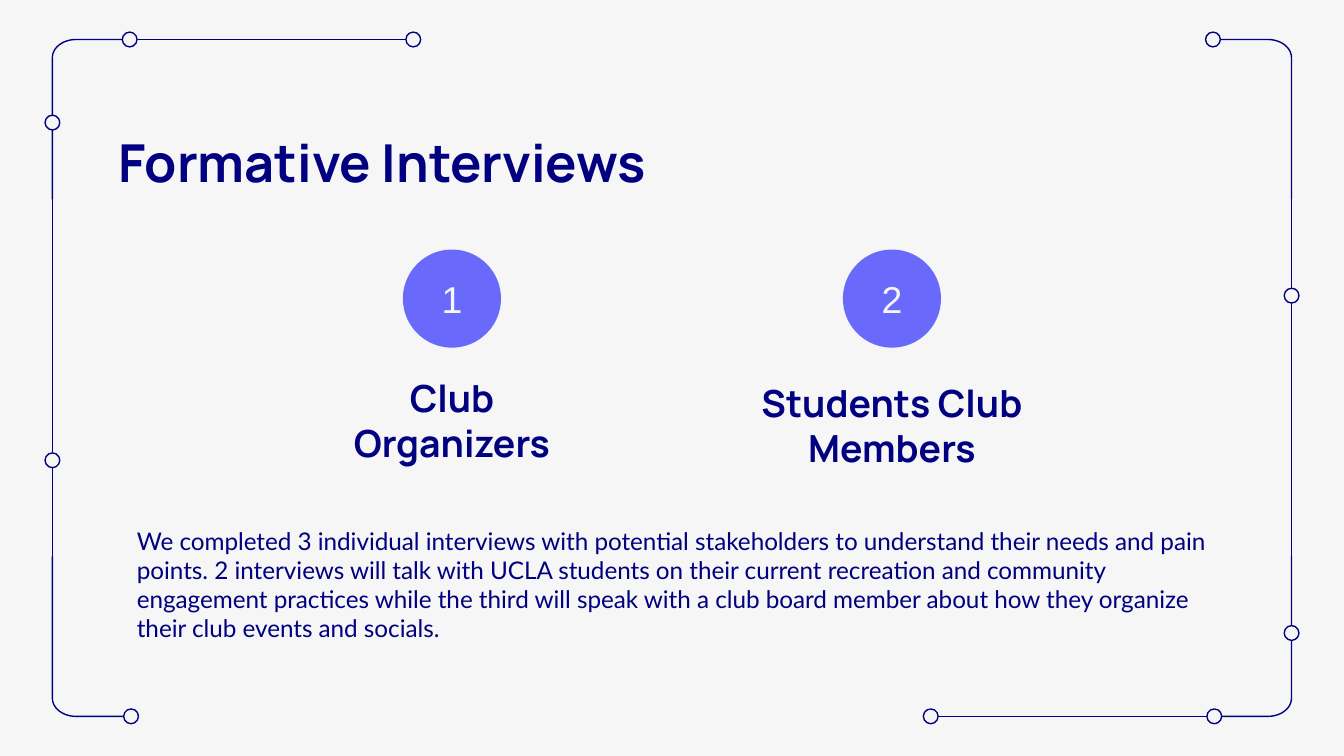
import math

from lxml import etree
from pptx import Presentation
from pptx.dml.color import RGBColor
from pptx.enum.shapes import MSO_CONNECTOR, MSO_SHAPE
from pptx.enum.text import MSO_ANCHOR, MSO_AUTO_SIZE, PP_ALIGN
from pptx.oxml.ns import qn
from pptx.util import Inches, Pt

STRAIGHT = MSO_CONNECTOR.STRAIGHT
OVAL = MSO_SHAPE.OVAL
LEFT, CENTER = PP_ALIGN.LEFT, PP_ALIGN.CENTER
TOP, MIDDLE, BOTTOM = MSO_ANCHOR.TOP, MSO_ANCHOR.MIDDLE, MSO_ANCHOR.BOTTOM
NO_FIT = MSO_AUTO_SIZE.NONE

COLORS = {"paper": "F6F6F6", "navy": "000080", "violet": "6969FC"}
CELL = Inches(0.1)
COLUMNS, ROWS = 100, 56.25
FRAME_LEFT, FRAME_RIGHT = 3.9, 96.1
FRAME_TOP, FRAME_BOTTOM = 2.94, 53.3
NODE = 1.1


def cells(*values):
    return [round(value * CELL) for value in values]


def color(name):
    return RGBColor.from_string(COLORS[name])


def write(frame, text, *, font, size, ink="navy", bold=False, align=LEFT,
          anchor=TOP, inset=1):
    frame.word_wrap = True
    frame.auto_size = NO_FIT
    frame.vertical_anchor = anchor
    margin = cells(inset)[0]
    frame.margin_left = frame.margin_right = margin
    frame.margin_top = frame.margin_bottom = margin
    frame.text = text
    for para in frame.paragraphs:
        para.alignment = align
        for span in para.runs:
            span.font.name = font
            span.font.size = Pt(size)
            span.font.bold = bold
            span.font.color.rgb = color(ink)


class SlideBuilder:
    def __init__(self, deck):
        self.slide = deck.slides.add_slide(deck.slide_layouts[5])
        self.shapes = self.slide.shapes
        background = self.slide.background.fill
        background.solid()
        background.fore_color.rgb = color("paper")

    def outline(self, line):
        line.color.rgb = color("navy")
        line.width = Pt(0.75)

    def line(self, *ends):
        connector = self.shapes.add_connector(STRAIGHT, *cells(*ends))
        self.outline(connector.line)
        properties = connector._element.spPr
        etree.SubElement(properties, qn("a:effectLst"))

    def corner(self, x, y, right, down, length=(5.3, 11.9), radius=(1.75, 1.35)):
        points = [(x, y + down * length[1])]
        for step in range(13):
            angle = math.pi / 2 * step / 12
            points.append((x + right * radius[0] * (1 - math.cos(angle)),
                           y + down * radius[1] * (1 - math.sin(angle))))
        points.append((x + right * length[0], y))
        start, *rest = [cells(*point) for point in points]
        builder = self.shapes.build_freeform(*start)
        builder.add_line_segments(rest, close=False)
        shape = builder.convert_to_shape()
        shape.shadow.inherit = False
        shape.fill.background()
        self.outline(shape.line)

    def circle(self, x, y, size, fill):
        shape = self.shapes.add_shape(
            OVAL, *cells(x - size / 2, y - size / 2, size, size))
        shape.shadow.inherit = False
        shape.fill.solid()
        shape.fill.fore_color.rgb = color(fill)
        return shape

    def node(self, x, y):
        self.outline(self.circle(x, y, NODE, "paper").line)

    def badge(self, x, y, text):
        shape = self.circle(x, y, 7.3, "violet")
        shape.line.fill.background()
        write(shape.text_frame, text, font="Arial", size=20, ink="paper",
              align=CENTER, anchor=MIDDLE, inset=0)

    def title(self, text, *place):
        box = self.shapes.title
        box.left, box.top, box.width, box.height = cells(*place)
        write(box.text_frame, text, font="Manrope", size=28, bold=True,
              anchor=BOTTOM)

    def text(self, text, *place, **style):
        box = self.shapes.add_textbox(*cells(*place))
        write(box.text_frame, text, **style)


def draw_frame(page):
    page.line(FRAME_LEFT, 14.3, FRAME_LEFT, 41.5)
    page.line(FRAME_RIGHT, 14.8, FRAME_RIGHT, 42)
    page.line(10.2, FRAME_TOP, 30.2, FRAME_TOP)
    page.line(69.8, FRAME_BOTTOM, 89.8, FRAME_BOTTOM)
    for x, right in ((FRAME_LEFT, 1), (FRAME_RIGHT, -1)):
        for y, down in ((FRAME_TOP, 1), (FRAME_BOTTOM, -1)):
            page.corner(x, y, right, down)
    nodes_across = {FRAME_TOP: (9.65, 30.75, 90.25),
                    FRAME_BOTTOM: (9.75, 69.25, 90.35)}
    for y, places in nodes_across.items():
        for x in places:
            page.node(x, y)
    nodes_down = {FRAME_LEFT: (9.12, 34.25), FRAME_RIGHT: (22, 47.1)}
    for x, places in nodes_down.items():
        for y in places:
            page.node(x, y)


def main():
    deck = Presentation()
    deck.slide_width, deck.slide_height = cells(COLUMNS, ROWS)
    page = SlideBuilder(deck)
    draw_frame(page)
    page.title("Formative Interviews", 7.8, 9.3, 47, 6.1)

    groups = [(33.63, 26.87, "Club\nOrganizers"),
              (66.37, 27.24, "Students Club Members")]
    for number, (center, top, label) in enumerate(groups, 1):
        page.text(label, center - 15.25, top, 30.5, 8.8, font="Manrope",
                  size=20, bold=True, align=CENTER, anchor=MIDDLE)
        page.badge(center, 22.22, str(number))

    page.text(
        "We completed 3 individual interviews with potential stakeholders to "
        "understand their needs and pain points. 2 interviews will talk with "
        "UCLA students on their current recreation and community engagement "
        "practices while the third will speak with a club board member about "
        "how they organize their club events and socials.",
        9.2, 38.13, 81.7, 10.8, font="Lato", size=13)
    deck.save("out.pptx")


if __name__ == "__main__":
    main()
